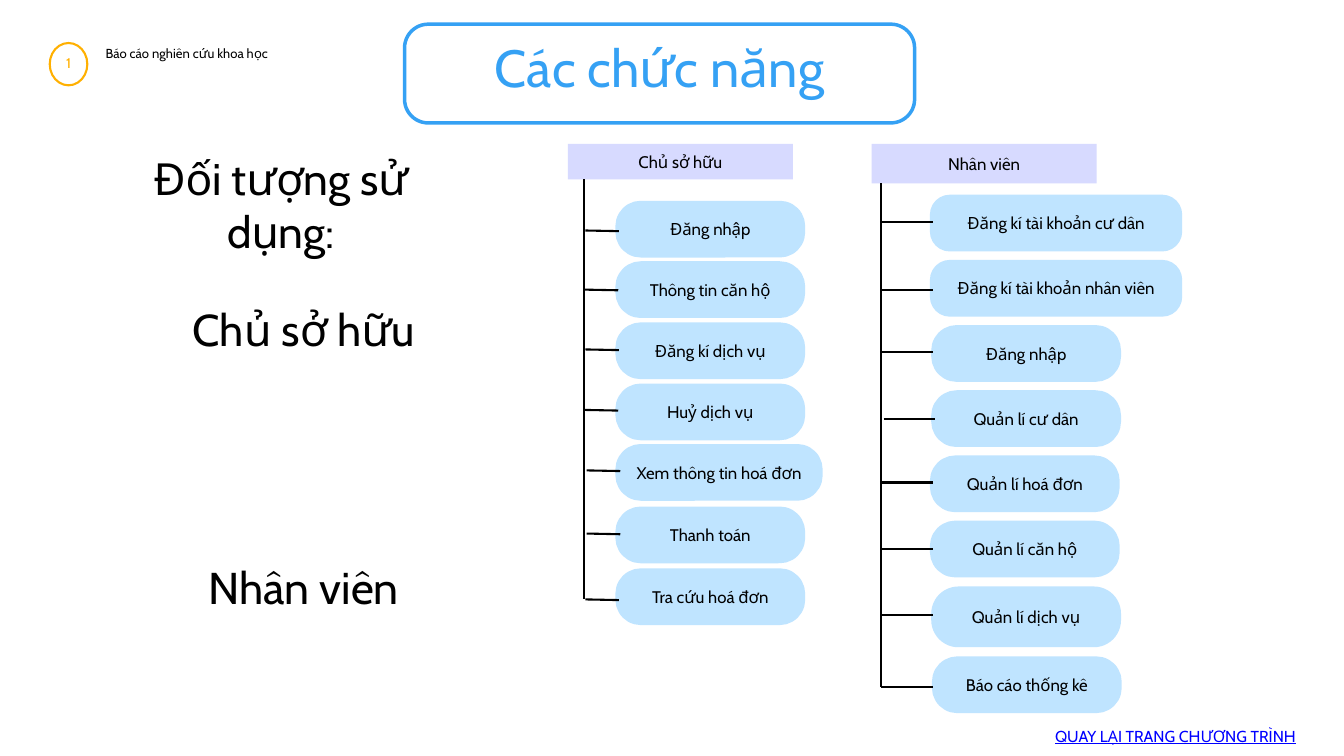
"""Builds the slide that lists the functions for owners and for staff."""
from lxml import etree
from pptx import Presentation
from pptx import util as u
from pptx.dml import color as c
from pptx.enum import shapes as s, text as t
from pptx.oxml import ns

HUES = {"ink": "000000", "head": "D7DAFF", "pill": "BFE4FF",
        "gold": "FFB001", "blue": "35A1F4", "link": "0000FF"}


def hue(name):
    return c.RGBColor.from_string(HUES[name])


def write(frame, words, size=18, tint="ink", lead=21.6, inset=0.08,
          align=t.PP_ALIGN.CENTER, anchor=t.MSO_ANCHOR.MIDDLE, under=None):
    frame.auto_size = t.MSO_AUTO_SIZE.NONE
    frame.word_wrap = True
    frame.vertical_anchor = anchor
    frame.margin_left = frame.margin_right = u.Inches(inset)
    frame.margin_top = frame.margin_bottom = u.Inches(inset)
    para = frame.paragraphs[0]
    para.text = words
    para.alignment = align
    para.line_spacing = u.Pt(lead)
    font = para.runs[0].font
    font.name = "Cabin"
    font.size = u.Pt(size)
    font.color.rgb = hue(tint)
    font.underline = under


deck = Presentation()
deck.slide_width = u.Inches(20)
deck.slide_height = u.Inches(11.25)
slide = deck.slides.add_slide(deck.slide_layouts[5])
items = slide.shapes

frames = [
    (s.MSO_SHAPE.ROUNDED_RECTANGLE, 6.02, 0.36, 7.59, 1.47, "blue", 3.75, ""),
    (s.MSO_SHAPE.OVAL, 0.74, 0.64, 0.56, 0.63, "gold", 2.25, "1"),
]
for kind, left, top, width, height, tint, weight, words in frames:
    ring = items.add_shape(kind, *map(u.Inches, (left, top, width, height)))
    ring.shadow.inherit = False
    ring.fill.background()
    ring.line.color.rgb = hue(tint)
    ring.line.width = u.Pt(weight)
    if words:
        write(ring.text_frame, words, size=15, tint=tint, lead=15, inset=0.02)
    else:
        ring.adjustments[0] = 0.24

title = items.title
title.left, title.top, title.width, title.height = map(u.Inches, (6.02, 0, 7.59, 1.83))
write(title.text_frame, "Các chức năng", size=56, tint="blue", lead=78.4, inset=0.06)

notes = [
    ("Báo cáo nghiên cứu khoa học", 1.57, 0.64, 3.85, 0.26,
     dict(size=14, lead=19.6, align=t.PP_ALIGN.LEFT)),
    ("QUAY LẠI TRANG CHƯƠNG TRÌNH", 15.7, 10.76, 3.69, 0.31,
     dict(size=17, lead=23.8, align=t.PP_ALIGN.LEFT, tint="link", under=True)),
    ("Đối tượng sử dụng:", 1.51, 2.25, 5.34, 1.58, dict(size=47.4, lead=56.9)),
    ("Chủ sở hữu", 2.35, 4.49, 4.34, 0.79, dict(size=47.7, lead=57.2)),
    ("Nhân viên", 2.35, 8.33, 4.34, 0.79, dict(size=47.7, lead=57.2)),
]
for words, left, top, width, height, style in notes:
    box = items.add_textbox(*map(u.Inches, (left, top, width, height)))
    write(box.text_frame, words, inset=0, anchor=t.MSO_ANCHOR.TOP, **style)

trees = [
    ("Chủ sở hữu", 8.45, 0.53, 8.69, [
        ("Đăng nhập", 9.21, 3.04, 2.72, 0.74, 8.71, 3.43),
        ("Thông tin căn hộ", 9.21, 3.94, 2.72, 0.74, 8.7, 4.31),
        ("Đăng kí dịch vụ", 9.21, 4.85, 2.72, 0.74, 8.71, 5.2),
        ("Huỷ dịch vụ", 9.21, 5.76, 2.72, 0.74, 8.7, 6.1),
        ("Xem thông tin hoá đơn", 9.21, 6.66, 2.98, 0.74, 8.73, 7),
        ("Thanh toán", 9.21, 7.59, 2.72, 0.74, 8.73, 7.94),
        ("Tra cứu hoá đơn", 9.21, 8.51, 2.72, 0.74, 8.71, 8.92),
    ], 0.5, 0.01),
    ("Nhân viên", 12.97, 0.59, 13.11, [
        ("Đăng kí tài khoản cư dân", 13.89, 2.95, 3.65, 0.74, 13.12, 3.3),
        ("Đăng kí tài khoản nhân viên", 13.89, 3.92, 3.65, 0.74, 13.12, 4.31),
        ("Đăng nhập", 13.91, 4.89, 2.72, 0.74, 13.12, 5.24),
        ("Quản lí cư dân", 13.91, 5.86, 2.72, 0.74, 13.15, 6.23),
        ("Quản lí hoá đơn", 13.89, 6.83, 2.72, 0.74, 13.12, 7.18),
        ("Quản lí căn hộ", 13.89, 7.8, 2.72, 0.74, 13.11, 8.17),
        ("Quản lí dịch vụ", 13.91, 8.78, 2.72, 0.8, 13.11, 9.15),
        ("Báo cáo thống kê", 13.92, 9.82, 2.72, 0.74, 13.11, 10.23),
    ], 0.77, 0),
]
for name, left, height, trunk, leaves, reach, slope in trees:
    head = items.add_shape(s.MSO_SHAPE.RECTANGLE,
                           *map(u.Inches, (left, 2.14, 3.35, height)))
    head.shadow.inherit = False
    head.fill.solid()
    head.fill.fore_color.rgb = hue("head")
    head.line.fill.background()
    write(head.text_frame, name, inset=0.06)

    lines = [(trunk, 2.14 + height, trunk, leaves[-1][-1])]
    for words, x, top, width, tall, start, level in leaves:
        pill = items.add_shape(s.MSO_SHAPE.ROUNDED_RECTANGLE,
                               *map(u.Inches, (x, top, width, tall)))
        pill.shadow.inherit = False
        pill.adjustments[0] = 0.33 if width > 3 else 0.44
        pill.fill.solid()
        pill.fill.fore_color.rgb = hue("pill")
        pill.line.color.rgb = hue("pill")
        pill.line.width = u.Pt(7.5)
        write(pill.text_frame, words)
        lines.append((start, level, start + reach, level + slope))

    for ends in lines:
        line = items.add_connector(s.MSO_CONNECTOR.STRAIGHT, *map(u.Inches, ends))
        line.line.color.rgb = hue("ink")
        line.line.width = u.Pt(2.25)
        etree.SubElement(line._element.spPr, ns.qn("a:effectLst"))

deck.save("out.pptx")
